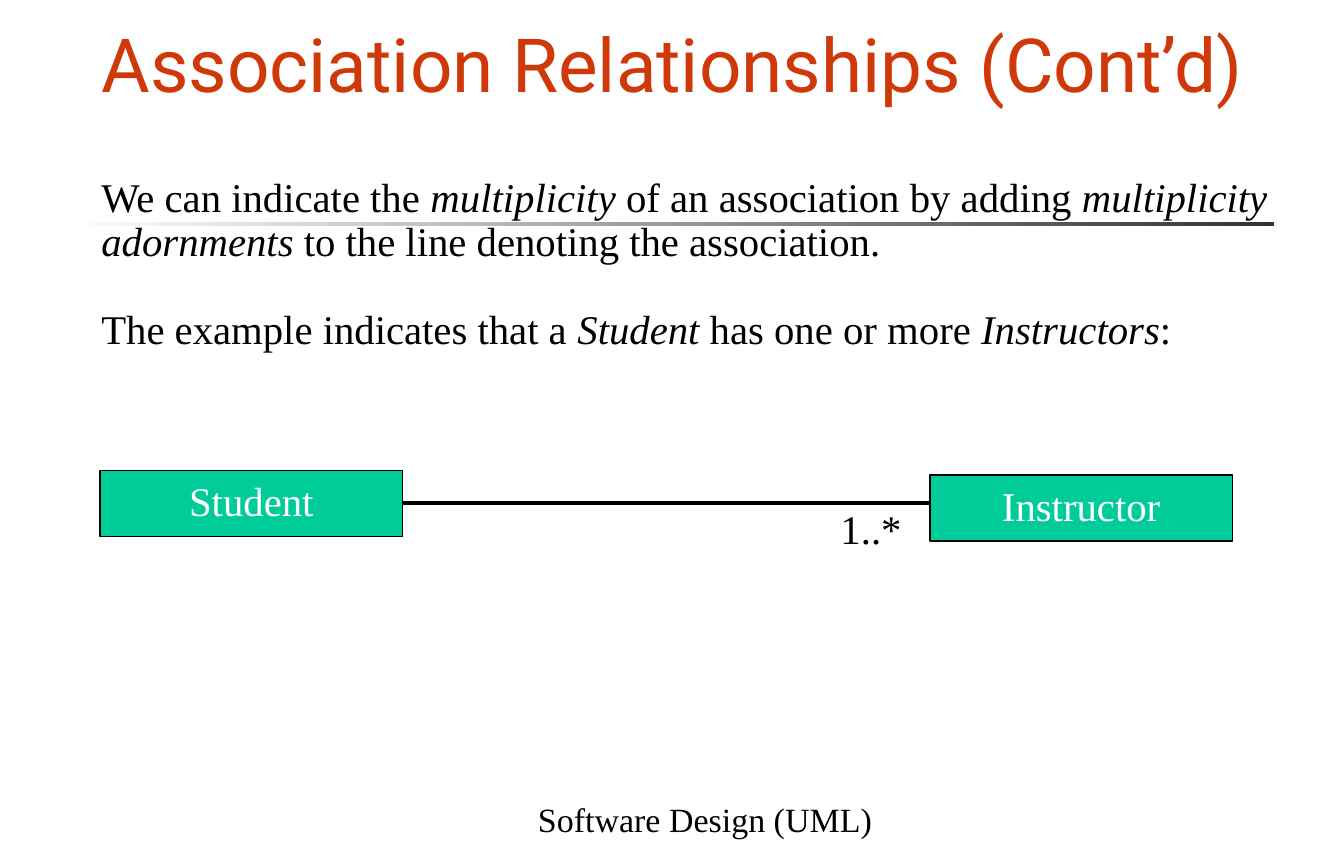
from dataclasses import dataclass

from lxml.etree import SubElement
from pptx import Presentation
from pptx.dml.color import RGBColor
from pptx.enum.shapes import MSO_CONNECTOR, MSO_SHAPE
from pptx.enum.text import MSO_ANCHOR as Anchor, MSO_AUTO_SIZE as AutoSize, PP_ALIGN as Align
from pptx.oxml.ns import qn
from pptx.util import Pt


@dataclass(frozen=True)
class Theme:
    title_font: str = "Roboto"
    body_font: str = "Times New Roman"
    title_size: int = 44
    body_size: int = 24
    footer_size: int = 20
    title_color: str = "CF3809"
    text_color: str = "000000"
    box_fill: str = "00CC99"
    box_text: str = "FFFFFF"
    rule_start: str = "FFFFFF"
    rule_end: str = "333333"


THEME = Theme()
TITLE_ONLY = 5
RIGHT_SIDE = 3


def rgb(color):
    return RGBColor.from_string(color)


def apply(target, formats):
    for name, value in formats.items():
        setattr(target, name, value)


def write(shape, paragraphs, size=THEME.body_size, color=THEME.text_color,
          font=THEME.body_font, frame_format=None, para_format=None):
    """Fill a shape with paragraphs, each a list of runs that turn italic by turns."""
    frame = shape.text_frame
    apply(frame, {"word_wrap": True, "auto_size": AutoSize.NONE, **(frame_format or {})})
    for index, runs in enumerate(paragraphs):
        para = frame.add_paragraph() if index else frame.paragraphs[0]
        apply(para, {"alignment": Align.LEFT, "line_spacing": 0.9, **(para_format or {})})
        for position, text in enumerate(runs):
            span = para.add_run()
            span.text = text
            apply(span.font, {"name": font, "size": Pt(size), "bold": False,
                              "italic": position % 2 == 1})
            span.font.color.rgb = rgb(color)


def add_title(page, text, left, top, width, height):
    title = page.shapes.title
    apply(title, {"left": Pt(left), "top": Pt(top), "width": Pt(width), "height": Pt(height)})
    write(title, [[text]], THEME.title_size, THEME.title_color, THEME.title_font,
          {"vertical_anchor": Anchor.BOTTOM}, {"line_spacing": 1.02})


def add_text(page, paragraphs, left, top, width, height, **formats):
    box = page.shapes.add_textbox(Pt(left), Pt(top), Pt(width), Pt(height))
    write(box, paragraphs, **formats)


def add_rectangle(page, left, top, width, height):
    box = page.shapes.add_shape(MSO_SHAPE.RECTANGLE, Pt(left), Pt(top), Pt(width), Pt(height))
    box.shadow.inherit = False
    return box


def add_fading_rule(page, left, top, width, height):
    rule = add_rectangle(page, left, top, width, height)
    rule.line.fill.background()
    rule.fill.gradient()
    rule.fill.gradient_angle = 0
    for stop, color in zip(rule.fill.gradient_stops, (THEME.rule_start, THEME.rule_end)):
        stop.color.rgb = rgb(color)


def add_class_box(page, name, left, top):
    box = add_rectangle(page, left, top, 178.2, 39)
    box.fill.solid()
    box.fill.fore_color.rgb = rgb(THEME.box_fill)
    box.line.color.rgb = rgb(THEME.text_color)
    box.line.width = Pt(0.75)
    write(box, [[name]], color=THEME.box_text,
          frame_format={"vertical_anchor": Anchor.MIDDLE, "word_wrap": False},
          para_format={"alignment": Align.CENTER})
    return box


def add_association(page, source, end_left):
    """Draw a level line from the right side of the source box."""
    middle = source.top + source.height // 2
    line = page.shapes.add_connector(MSO_CONNECTOR.STRAIGHT, source.left + source.width,
                                     middle, Pt(end_left), middle)
    line.begin_connect(source, RIGHT_SIDE)
    line.line.color.rgb = rgb(THEME.text_color)
    line.line.width = Pt(2.25)
    SubElement(line.element.spPr, qn("a:effectLst"))


def main():
    deck = Presentation()
    apply(deck, {"slide_width": Pt(792), "slide_height": Pt(504)})
    page = deck.slides.add_slide(deck.slide_layouts[TITLE_ONLY])

    add_fading_rule(page, 38.2, 131, 712.8, 2.2)
    add_text(page, [["Software Design (UML)"]], 290.2, 464.4, 250.6, 33.8,
             size=THEME.footer_size, frame_format={"vertical_anchor": Anchor.BOTTOM},
             para_format={"alignment": Align.CENTER, "line_spacing": 1.0})
    add_title(page, "Association Relationships (Cont’d)", 52.6, 28, 706.3, 38.9)
    add_text(page, [
        ["We can indicate the ", "multiplicity", " of an association by adding ",
         "multiplicity adornments", " to the line denoting the association."],
        ["The example indicates that a ", "Student", " has one or more ", "Instructors", ":"],
    ], 52.6, 100.8, 702, 110.9, para_format={"space_after": Pt(26)})

    student = add_class_box(page, "Student", 59, 277.2)
    add_association(page, student, 548)
    add_class_box(page, "Instructor", 548, 280)
    add_text(page, [["1..*"]], 488.2, 296.6, 59.8, 33.1)

    deck.save("out.pptx")


if __name__ == "__main__":
    main()
